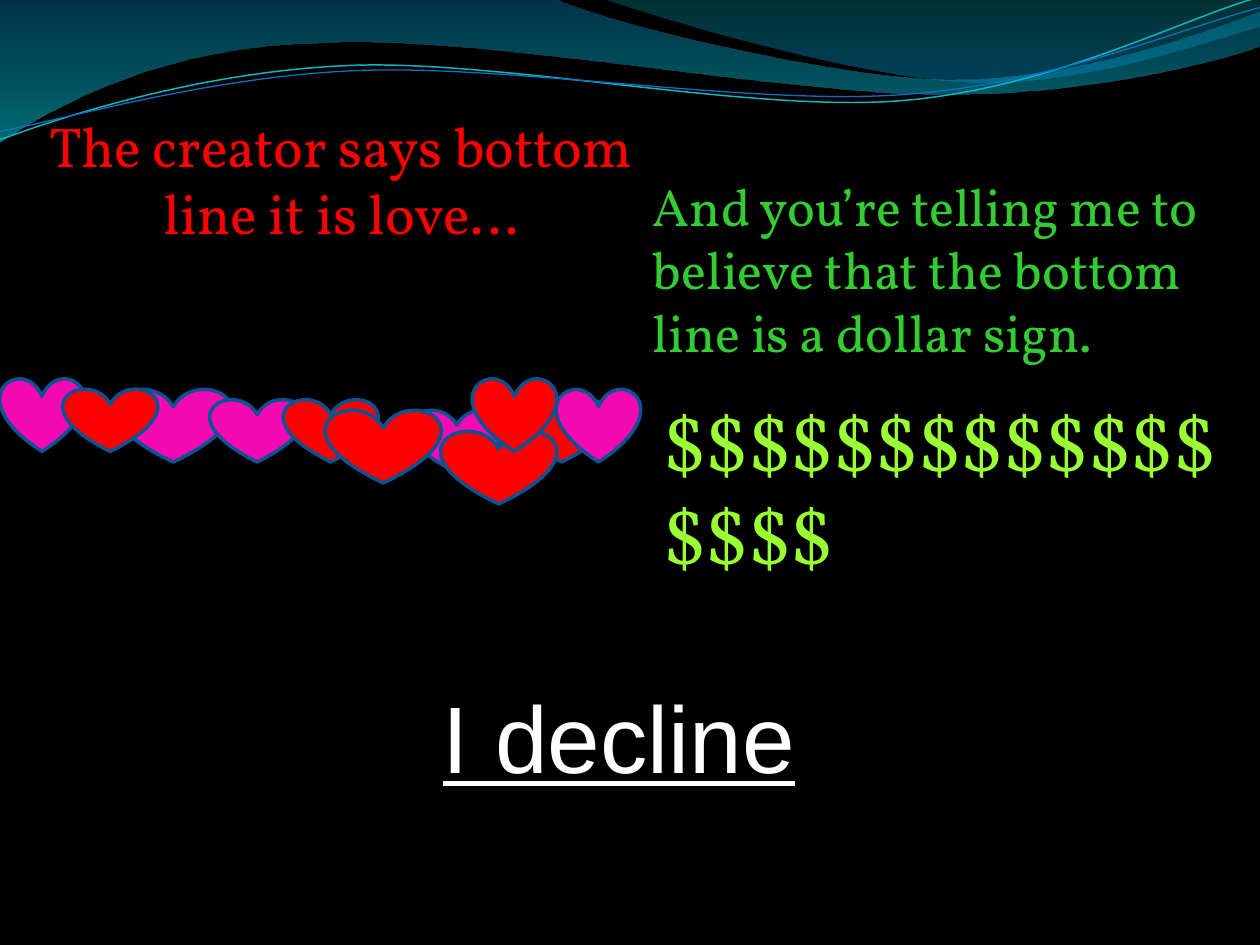
from lxml.etree import SubElement
from pptx import Presentation
from pptx.dml.color import RGBColor
from pptx.enum.shapes import MSO_SHAPE as Shape
from pptx.enum.text import MSO_ANCHOR as Anchor, MSO_AUTO_SIZE as AutoSize, PP_ALIGN as Align
from pptx.oxml.ns import qn
from pptx.util import Pt

PINK, RED, HEART_LINE = "F509B2", "FF0000", "0B5292"
STRAND_TILT = 357.3

# Outlines start at a point; two numbers go straight, six are a Bézier curve.
WIDE_WAVE = [
    (0, 0), (316.8, -0.7), (342.7, 12.2, 478.1, 45.4, 545.8, 45.4),
    (614.2, 45.4, 689.8, 18.7, 720, 6.5), (720.7, 25.9),
    (707.8, 31.7, 626.4, 54.7, 537.1, 54),
    (447.8, 54, 275, 20.2, 185, 24.5),
    (92.9, 25.9, 33.1, 59.8, -0.7, 81.4),
]
RIGHT_WAVE = [
    (344.9, -0.7), (366.5, 7.9, 491, 44.6, 553.7, 46.8),
    (616.3, 49.7, 691.9, 23, 720, 15.1), (720, 0),
]
# The strands are given level, before their tilt.
TEAL_STRAND = [
    (-1.4, 62.9), (33.8, 51.7, 114.1, 29.4, 199.8, 29.9),
    (284.9, 30.3, 425.8, 67.3, 512.4, 64.9),
    (599, 62.4, 676.5, 25.7, 720.2, 15.6),
]
BLUE_STRAND = [
    (-1.1, 58), (32.9, 53.8, 118.3, 32.5, 204.1, 33),
    (290.6, 33.4, 428.9, 63.8, 515.5, 61.4),
    (601.3, 59.6, 678.4, 30.1, 721.4, 21.3),
]

SMALL, MEDIUM, LARGE = (48, 42), (54, 36), (66, 42)
HEARTS = [  # left, top, size, colour
    (0, 216, SMALL, PINK),
    (66, 222, LARGE, PINK),
    (120, 228, MEDIUM, PINK),
    (36, 222, MEDIUM, RED),
    (162, 228, MEDIUM, RED),
    (234, 234, MEDIUM, PINK),
    (294, 228, MEDIUM, RED),
    (252, 246, LARGE, RED),
    (186, 234, LARGE, RED),
    (270, 216, SMALL, RED),
    (318, 222, SMALL, PINK),
]


def rgb(colour):
    return RGBColor.from_string(colour)


def add_outline(slide, outline, close):
    """Add a freeform, joining each three points of a curve into one Bézier."""
    points = [(Pt(x), Pt(y)) for segment in outline
              for x, y in zip(segment[::2], segment[1::2])]
    builder = slide.shapes.build_freeform(*points[0])
    builder.add_line_segments(points[1:], close=close)
    shape = builder.convert_to_shape()
    shape.shadow.inherit = False

    steps = iter(list(shape.element.spPr.iter(qn("a:lnTo"))))
    for segment in outline[1:]:
        first = next(steps)
        if len(segment) == 6:
            first.tag = qn("a:cubicBezTo")
            for _ in range(2):
                step = next(steps)
                first.append(step[0])
                step.getparent().remove(step)
    return shape


def add_wave(slide, outline, stops):
    """Add a top-to-bottom gradient wave; stops are position, colour, opacity %."""
    wave = add_outline(slide, outline, close=True)
    wave.line.fill.background()
    wave.fill.gradient()
    wave.fill.gradient_angle = 270
    for stop, (position, colour, _) in zip(wave.fill.gradient_stops, stops):
        stop.position = position
        stop.color.rgb = rgb(colour)
    colours = wave.element.spPr.iter(qn("a:srgbClr"))
    for element, (_, _, opacity) in zip(colours, stops):
        SubElement(element, qn("a:alpha")).set("val", str(opacity * 1000))


def add_strand(slide, outline, colour, width):
    strand = add_outline(slide, outline, close=False)
    strand.rotation = STRAND_TILT
    strand.fill.background()
    strand.line.color.rgb = rgb(colour)
    strand.line.width = Pt(width)


def add_heart(slide, left, top, size, colour):
    heart = slide.shapes.add_shape(Shape.HEART, Pt(left), Pt(top), *map(Pt, size))
    heart.shadow.inherit = False
    heart.fill.solid()
    heart.fill.fore_color.rgb = rgb(colour)
    heart.line.color.rgb = rgb(HEART_LINE)
    heart.line.width = Pt(2)


def add_words(slide, box, words, size, colour, font="Vollkorn",
              align=Align.LEFT, anchor=Anchor.TOP, underline=None):
    frame = slide.shapes.add_textbox(*map(Pt, box)).text_frame
    frame.word_wrap = True
    frame.auto_size = AutoSize.SHAPE_TO_FIT_TEXT
    frame.vertical_anchor = anchor
    paragraph = frame.paragraphs[0]
    paragraph.alignment = align
    run = paragraph.add_run()
    run.text = words
    run.font.name = font
    run.font.size = Pt(size)
    run.font.color.rgb = rgb(colour)
    run.font.underline = underline


def main():
    deck = Presentation()
    deck.slide_width, deck.slide_height = Pt(720), Pt(540)
    slide = deck.slides.add_slide(deck.slide_layouts[6])
    slide.background.fill.solid()
    slide.background.fill.fore_color.rgb = rgb("000000")

    add_wave(slide, WIDE_WAVE, [(0, "0074A1", 45), (1, "00C6CF", 55)])
    add_wave(slide, RIGHT_WAVE, [(0, "00A1A9", 30), (0.8, "008BBF", 45)])
    add_strand(slide, TEAL_STRAND, "0AB8BF", 0.85)
    add_strand(slide, BLUE_STRAND, "0F6FC6", 0.75)

    for heart in HEARTS:
        add_heart(slide, *heart)

    add_words(slide, (372, 222, 348, 60.5), "$$$$$$$$$$$$$$$$$", 44, "99FF33")
    add_words(slide, (18, 60, 354, 85), "The creator says bottom line it is love…",
              32, RED, align=Align.CENTER)
    add_words(slide, (366, 96, 342, 116.5),
              "And you’re telling me to believe that the bottom line is a dollar sign.",
              30, "33CC33")
    add_words(slide, (246, 384, 306, 72.5), "I decline", 54, "FFFFFF",
              font="Arial", anchor=Anchor.MIDDLE, underline=True)
    deck.save("out.pptx")


if __name__ == "__main__":
    main()
